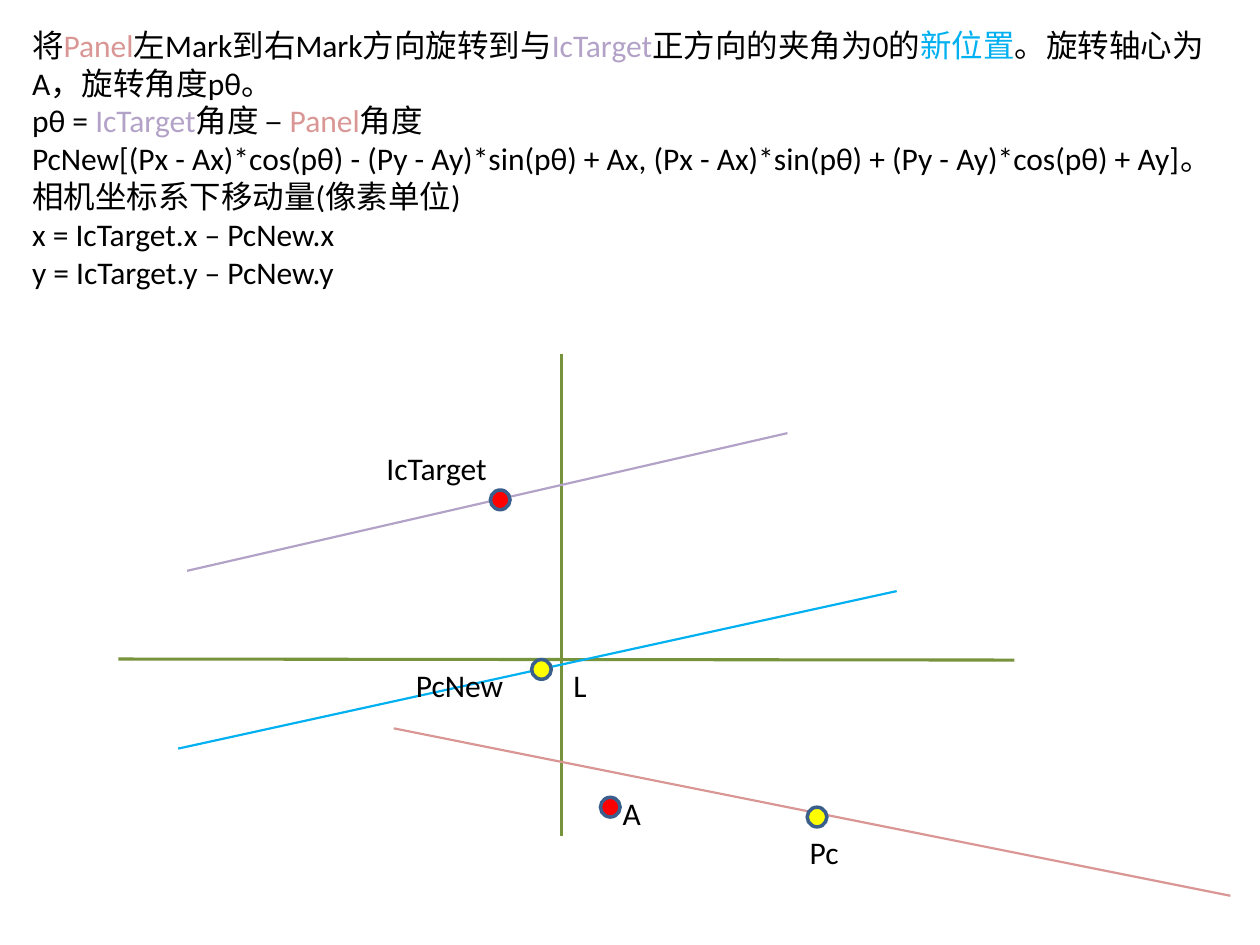
from dataclasses import dataclass

from lxml import etree
from pptx import Presentation
from pptx.dml.color import RGBColor
from pptx.enum.shapes import MSO_CONNECTOR, MSO_SHAPE
from pptx.enum.text import MSO_AUTO_SIZE
from pptx.oxml.ns import qn
from pptx.util import Pt

STRAIGHT = MSO_CONNECTOR.STRAIGHT
OVAL = MSO_SHAPE.OVAL
GROW = MSO_AUTO_SIZE.SHAPE_TO_FIT_TEXT
BLANK_LAYOUT = 6


@dataclass(frozen=True)
class Theme:
    font: str = "Calibri"
    text_size: float = 18
    text: str = "000000"
    axis: str = "77933C"
    panel: str = "D99694"
    target: str = "B3A2C7"
    moved: str = "00B0F0"
    fixed_point: str = "FF0000"
    panel_point: str = "FFFF00"
    point_border: str = "3A5F8C"
    axis_width: float = 1.75
    line_width: float = 1.25
    border_width: float = 2
    point_size: float = 11.25
    label_height: float = 29


class Diagram:
    def __init__(self, slide, theme):
        self.shapes = slide.shapes
        self.theme = theme

    def line(self, start, end, color, width):
        connector = self.shapes.add_connector(
            STRAIGHT, *(Pt(value) for value in (*start, *end)))
        connector.line.color.rgb = RGBColor.from_string(color)
        connector.line.width = Pt(width)
        etree.SubElement(connector._element.spPr, qn("a:effectLst"))

    def point(self, left, top, color):
        size = Pt(self.theme.point_size)
        dot = self.shapes.add_shape(OVAL, Pt(left), Pt(top), size, size)
        dot.shadow.inherit = False
        dot.fill.solid()
        dot.fill.fore_color.rgb = RGBColor.from_string(color)
        dot.line.color.rgb = RGBColor.from_string(self.theme.point_border)
        dot.line.width = Pt(self.theme.border_width)

    def text(self, left, top, width, height, paragraphs):
        """Each paragraph is a list of (words, color) pairs."""
        box = self.shapes.add_textbox(Pt(left), Pt(top), Pt(width), Pt(height))
        frame = box.text_frame
        frame.word_wrap = True
        frame.auto_size = GROW
        for index, parts in enumerate(paragraphs):
            paragraph = frame.add_paragraph() if index else frame.paragraphs[0]
            for words, color in parts:
                run = paragraph.add_run()
                run.text = words
                run.font.name = self.theme.font
                run.font.size = Pt(self.theme.text_size)
                run.font.color.rgb = RGBColor.from_string(color)

    def label(self, left, top, width, words):
        self.text(left, top, width, self.theme.label_height,
                  [[(words, self.theme.text)]])


def main():
    theme = Theme()
    presentation = Presentation()
    presentation.slide_width, presentation.slide_height = Pt(720), Pt(540)
    slide = presentation.slides.add_slide(
        presentation.slide_layouts[BLANK_LAYOUT])
    diagram = Diagram(slide, theme)

    axes = [((579.6, 377.2), (67.7, 376.6)), ((320.6, 202.5), (320.6, 478))]
    for start, end in axes:
        diagram.line(start, end, theme.axis, theme.axis_width)

    black = theme.text
    explanation = [
        [("将", black), ("Panel", theme.panel),
         ("左Mark到右Mark方向旋转到与", black), ("IcTarget", theme.target),
         ("正方向的夹角为0的", black), ("新位置", theme.moved),
         ("。旋转轴心为A，旋转角度pθ。", black)],
        [("pθ = ", black), ("IcTarget", theme.target), ("角度 – ", black),
         ("Panel", theme.panel), ("角度", black)],
        [("PcNew[(Px - Ax)*cos(pθ) - (Py - Ay)*sin(pθ) + Ax, "
          "(Px - Ax)*sin(pθ) + (Py - Ay)*cos(pθ) + Ay]。", black)],
        [("相机坐标系下移动量(像素单位)", black)],
        [("x = IcTarget.x – PcNew.x", black)],
        [("y = IcTarget.y – PcNew.y", black)],
    ]
    diagram.text(11.25, 11.25, 692, 160, explanation)

    directions = [
        ((450, 247.5), (106.9, 326.2), theme.target),
        ((512.4, 337.8), (101.8, 427.8), theme.moved),
        ((703.1, 511.9), (225, 416.2), theme.panel),
    ]
    for start, end, color in directions:
        diagram.line(start, end, color, theme.line_width)

    points = [
        (280.2, 280, theme.fixed_point),
        (303.75, 376.9, theme.panel_point),
        (461.25, 461.25, theme.panel_point),
        (343.1, 455.6, theme.fixed_point),
    ]
    for left, top, color in points:
        diagram.point(left, top, color)

    labels = [
        (213.75, 253.1, 78.75, "IcTarget"),
        (320.6, 376.9, 33.75, "L"),
        (230.6, 376.9, 67.5, "PcNew"),
        (455.6, 472.5, 33.75, "Pc"),
        (348.75, 450, 33.75, "A"),
    ]
    for left, top, width, words in labels:
        diagram.label(left, top, width, words)

    presentation.save("out.pptx")


if __name__ == "__main__":
    main()
